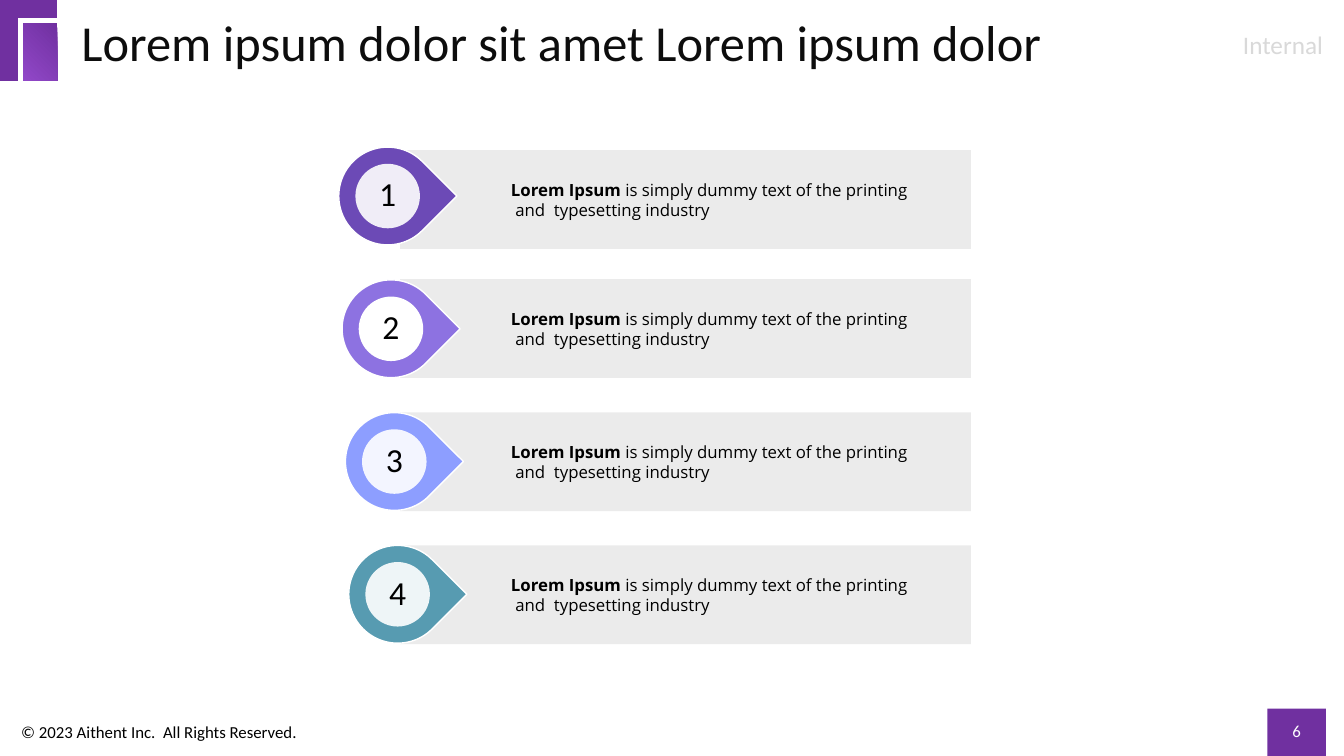
from pptx import Presentation
from pptx.dml.color import RGBColor
from pptx.enum.shapes import MSO_SHAPE
from pptx.enum.text import MSO_ANCHOR, PP_ALIGN
from pptx.oxml.ns import qn
from pptx.util import Inches, Pt
from lxml import etree

PURPLE = "7030A0"
BANNER_LEFT = 3.97
STEPS = [  # teardrop colour, disc opacity, banner top
    ("6C4AB6", 90, 1.49),
    ("8D72E1", 100, 2.77),
    ("8D9EFF", 90, 4.09),
    ("579BB1", 90, 5.41),
]


def rgb(value):
    return RGBColor.from_string(value)


def add_run(p, text, **font):
    r = p.add_run()
    r.text = text
    r.font.color.rgb = rgb(font.pop("color", "000000"))
    for name, value in font.items():
        setattr(r.font, name, value)


def set_frame(tf, inset=None, **frame):
    """Anchor in the middle; inset in inches applies to all four sides."""
    tf.vertical_anchor = MSO_ANCHOR.MIDDLE
    if inset is not None:
        for side in ("left", "top", "right", "bottom"):
            setattr(tf, f"margin_{side}", Inches(inset))
    for name, value in frame.items():
        setattr(tf, name, value)


def add_label(s, box, text, size, color="000000", align=PP_ALIGN.LEFT,
              inset=0, wrap=False):
    tf = s.shapes.add_textbox(*map(Inches, box)).text_frame
    set_frame(tf, inset, word_wrap=wrap)
    p = tf.paragraphs[0]
    p.alignment = align
    add_run(p, text, size=Pt(size), name="Calibri", color=color)
    return p


def add_filled(s, kind, box, color, opacity=100):
    sp = s.shapes.add_shape(kind, *map(Inches, box))
    sp.shadow.inherit = False
    sp.fill.solid()
    sp.fill.fore_color.rgb = rgb(color)
    sp.line.fill.background()
    if opacity < 100:
        clr = sp.fill._xPr.find(qn("a:solidFill"))[0]
        etree.SubElement(clr, qn("a:alpha"), val=str(opacity * 1000))
    return sp


def add_corner_mark(s, x, y, w, h):
    """Thick bracket along the top and left, with a gradient panel inside."""
    band, gap = 0.18, 0.05
    mid = band / 2
    fb = s.shapes.build_freeform(Inches(x + mid), Inches(y + h))
    fb.add_line_segments([(Inches(x + mid), Inches(y + mid)),
                          (Inches(x + w), Inches(y + mid))], close=False)
    bracket = fb.convert_to_shape()
    bracket.shadow.inherit = False
    bracket.fill.background()
    bracket.line.color.rgb = rgb(PURPLE)
    bracket.line.width = Inches(band)
    etree.SubElement(bracket.line._ln, qn("a:miter"), lim="800000")

    inner = band + gap
    panel = add_filled(s, MSO_SHAPE.RECTANGLE,
                       (x + inner, y + inner, w - inner, h - inner), PURPLE)
    panel.fill.gradient()
    panel.fill.gradient_angle = 225
    for stop, color in zip(panel.fill.gradient_stops, (PURPLE, "9148C8")):
        stop.color.rgb = rgb(color)


def add_header(s):
    add_corner_mark(s, 0, 0, 0.57, 0.8)
    add_label(s, (12.23, 0.24, 1, 0.4), "Internal", 18, "D9D9D9", inset=0.1)
    title = add_label(s, (0.71, 0.09, 11.59, 0.71),
                      "Lorem ipsum dolor sit amet Lorem ipsum dolor",
                      36, "0D0D0D", inset=0.1, wrap=True)
    title.line_spacing = 0.9


def add_footer(s):
    add_filled(s, MSO_SHAPE.RECTANGLE, (12.57, 7.03, 0.58, 0.47), PURPLE)
    add_label(s, (0.21, 7.08, 3.19, 0.36),
              "© 2023 Aithent Inc.  All Rights Reserved.", 12)
    add_label(s, (12.63, 7.04, 0.46, 0.42), "6", 12, "FFFFFF",
              PP_ALIGN.CENTER)


def add_banner(s, x, y):
    banner = add_filled(s, MSO_SHAPE.RECTANGLE, (x, y, 5.66, 0.98),
                        "D9D9D9", 50)
    tf = banner.text_frame
    set_frame(tf, word_wrap=True)
    font = {"size": Pt(12), "name": "Open Sans"}
    first, second = tf.paragraphs[0], tf.add_paragraph()
    for p in (first, second):
        p.alignment = PP_ALIGN.LEFT
        pPr = p._p.get_or_add_pPr()
        pPr.set("marL", str(Inches(1)))
        pPr.set("indent", "0")
    add_run(first, "Lorem Ipsum", bold=True, **font)
    add_run(first, "\u00a0is simply dummy text of the printing", **font)
    add_run(second, " and  typesetting industry", **font)


def add_marker(s, x, y, number, color, opacity):
    """Teardrop pointing right, with a numbered disc at its centre."""
    size, disc_size = 0.97, 0.64
    drop = add_filled(s, MSO_SHAPE.TEAR, (x, y, size, size), color)
    drop.rotation = 45
    drop.line.color.rgb = rgb("FFFFFF")
    drop.line.width = Pt(1)

    inset = (size - disc_size) / 2
    disc = add_filled(s, MSO_SHAPE.OVAL,
                      (x + inset, y + inset, disc_size, disc_size),
                      "FFFFFF", opacity)
    set_frame(disc.text_frame, 0, word_wrap=False)
    p = disc.text_frame.paragraphs[0]
    p.alignment = PP_ALIGN.CENTER
    p.line_spacing = 0.9
    add_run(p, str(number), size=Pt(24), name="Calibri")


def add_steps(s, x, y):
    """Markers step evenly down and slightly right from (x, y)."""
    for i, (color, opacity, banner_top) in enumerate(STEPS):
        add_banner(s, BANNER_LEFT, banner_top)
        add_marker(s, x + i * 0.033, y + i * 1.317, i + 1, color, opacity)


def main():
    prs = Presentation()
    prs.slide_width, prs.slide_height = Inches(13.33), Inches(7.5)
    s = prs.slides.add_slide(prs.slide_layouts[6])
    add_header(s)
    add_steps(s, 3.36, 1.46)
    add_footer(s)
    prs.save("out.pptx")


if __name__ == "__main__":
    main()
